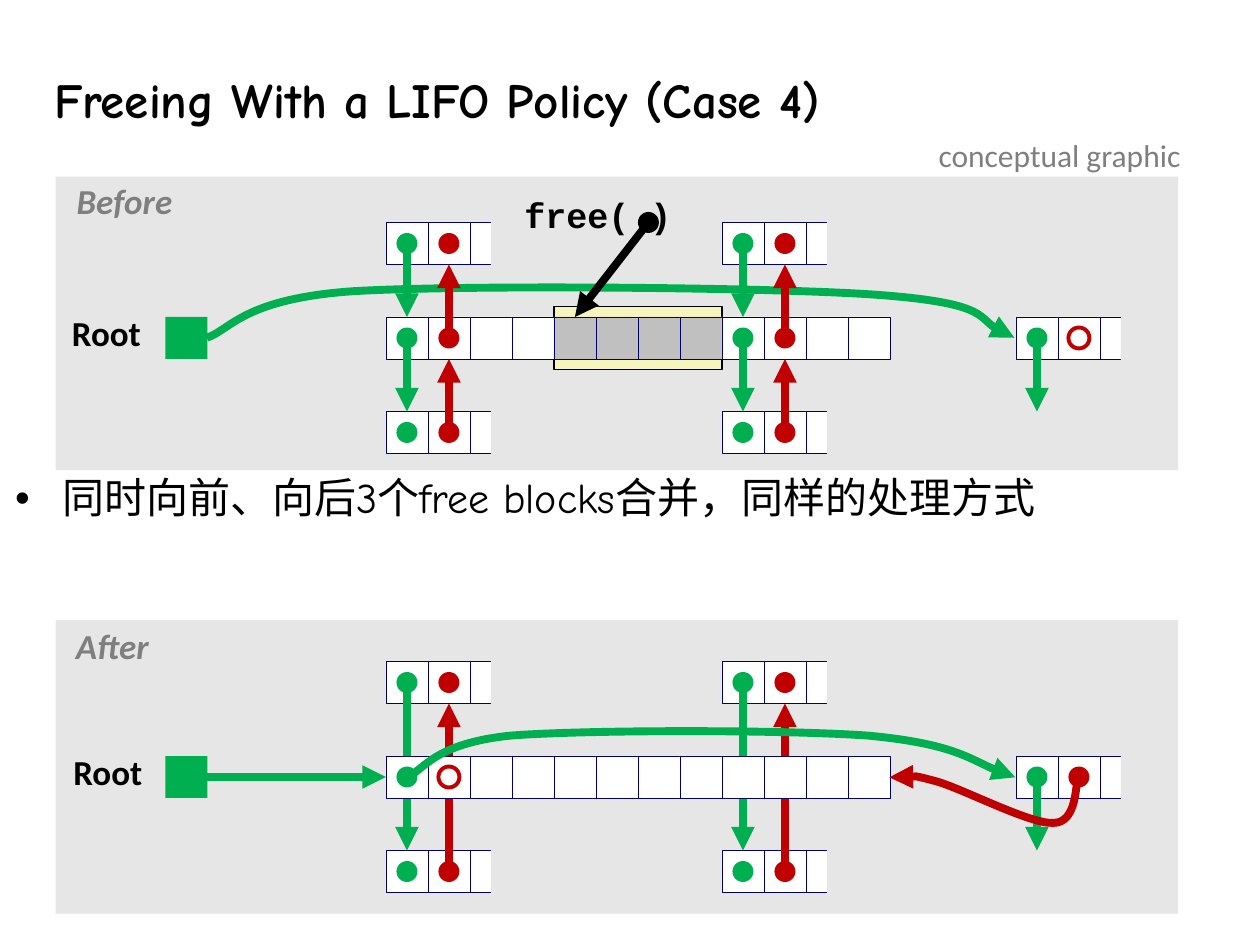
from dataclasses import dataclass
from typing import NamedTuple

from lxml.etree import SubElement
from pptx import Presentation
from pptx.dml.color import RGBColor
from pptx.enum.shapes import MSO_CONNECTOR, MSO_SHAPE
from pptx.enum.text import MSO_ANCHOR, MSO_AUTO_SIZE, PP_ALIGN
from pptx.oxml.ns import qn
from pptx.util import Cm, Pt


@dataclass(frozen=True)
class Theme:
    """Colours, fonts and type sizes of the slide."""
    black: str = "000000"
    muted: str = "7F7F7F"
    white: str = "FFFFFF"
    panel: str = "E6E6E6"
    freed: str = "C0C0C0"
    highlight: str = "F6F5BD"
    edge: str = "000066"
    following: str = "00B050"
    previous: str = "C00000"
    hand_font: str = "Comic Neue"
    label_font: str = "Calibri"
    code_font: str = "Courier New"
    title_size: float = 28
    body_size: float = 24
    label_size: float = 20
    note_size: float = 18
    link_width: float = 4.5


class Spot(NamedTuple):
    """A place in cells, counted from the first cell of the heap row."""
    column: float
    row: float


class Label(NamedTuple):
    """A text with its box in centimetres."""
    text: str
    left: float
    top: float
    width: float


@dataclass(frozen=True)
class Scene:
    """A grey panel and the top of its heap row, in centimetres."""
    panel_top: float
    heap_top: float
    caption: Label
    root: Label


THEME = Theme()
CELL = 2.54 / 3
HEAP_LEFT = 7.78
ABOVE, BELOW = -2.25, 2.25
NEIGHBOURS = (0, 8)
TAIL_BLOCK = 15
BEFORE = Scene(3.56, 6.39, Label("Before", 1.31, 3.58, 2.4), Label("Root", 1.22, 6.25, 1.85))
AFTER = Scene(12.5, 15.24, Label("After", 1.3, 12.55, 1.93), Label("Root", 1.25, 15.09, 1.85))
BEFORE_ROOT_CURVE = [
    (4.17, 6.81), (4.65, 6.65), (4.9, 6.02), (7.14, 5.87), (9.4, 5.74),
    (15.42, 5.79), (17.63, 5.94), (19.86, 6.1), (19.86, 6.63), (20.45, 6.81)]
AFTER_NEXT_CURVE = [
    (8.2, 15.67), (8.56, 15.52), (8.74, 14.99), (10.29, 14.83), (11.84, 14.71),
    (15.8, 14.71), (17.5, 14.83), (19.2, 14.99), (19.86, 15.49), (20.47, 15.67)]
AFTER_PREVIOUS_CURVE = [
    (21.74, 15.67), (21.67, 15.82), (21.72, 16.59), (21.23, 16.59), (20.75, 16.61),
    (19.41, 15.9), (18.87, 15.75), (18.31, 15.6), (18.14, 15.67), (17.93, 15.67)]


def place(scene: Scene, spot: Spot) -> tuple:
    """Turn a spot into slide lengths."""
    return Cm(HEAP_LEFT + spot.column * CELL), Cm(scene.heap_top + spot.row * CELL)


def write_text(frame, text: str, *, font: str, size: float, color: str = THEME.black,
               bold: bool = False, italic: bool = False, align=PP_ALIGN.LEFT,
               spacing: float = 1.0):
    """Write one formatted paragraph and return it."""
    para = frame.paragraphs[0]
    para.alignment, para.line_spacing, para.space_before = align, spacing, Pt(0)
    span = para.add_run()
    span.text = text
    span.font.name, span.font.size = font, Pt(size)
    span.font.bold, span.font.italic = bold, italic
    span.font.color.rgb = RGBColor.from_string(color)
    return para


def add_label(slide, label: Label, inset: float = 0.13, **style) -> None:
    """Add an unwrapped text box that fits its text."""
    box = slide.shapes.add_textbox(Cm(label.left), Cm(label.top), Cm(label.width), Cm(1.02))
    frame = box.text_frame
    frame.word_wrap = False
    frame.auto_size = MSO_AUTO_SIZE.SHAPE_TO_FIT_TEXT
    frame.margin_left = frame.margin_right = Cm(inset)
    frame.margin_top = frame.margin_bottom = Cm(0.13)
    write_text(frame, label.text, **style)


def add_box(slide, kind, left, top, width, height, fill="", line="", weight: float = 0.25):
    """Add a preset shape; an empty colour means none."""
    box = slide.shapes.add_shape(kind, left, top, width, height)
    box.shadow.inherit = False
    if fill:
        box.fill.solid()
        box.fill.fore_color.rgb = RGBColor.from_string(fill)
    else:
        box.fill.background()
    if line:
        box.line.color.rgb = RGBColor.from_string(line)
        box.line.width = Pt(weight)
    else:
        box.line.fill.background()


def add_block(slide, scene: Scene, spot: Spot, columns=1.0, rows=1.0, **style) -> None:
    """Add a rectangle measured in cells."""
    add_box(slide, MSO_SHAPE.RECTANGLE, *place(scene, spot),
            Cm(columns * CELL), Cm(rows * CELL), **style)


def add_cells(slide, scene: Scene, spot: Spot, count: int, fill: str = THEME.white) -> None:
    """Add a run of memory cells."""
    for step in range(count):
        add_block(slide, scene, Spot(spot.column + step, spot.row), fill=fill, line=THEME.edge)


def add_open_block(slide, scene: Scene, spot: Spot) -> None:
    """Add a block whose third cell is cut off."""
    add_cells(slide, scene, spot, 3)
    add_block(slide, scene, Spot(spot.column + 2.5, spot.row - 0.25), rows=1.5, fill=THEME.panel)


def add_dot(slide, scene: Scene, cell: Spot, color: str, hollow: bool = False) -> None:
    """Add a pointer dot or ring in the middle of a cell."""
    corner = place(scene, Spot(cell.column + 0.25, cell.row + 0.25))
    style = {"line": color, "weight": 2.25} if hollow else {"fill": color}
    add_box(slide, MSO_SHAPE.OVAL, *corner, Cm(CELL / 2), Cm(CELL / 2), **style)


def style_link(link, color: str) -> None:
    """Give a line or curve its colour, width and arrowhead."""
    link.line.color.rgb = RGBColor.from_string(color)
    link.line.width = Pt(THEME.link_width)
    SubElement(link.line._get_or_add_ln(), qn("a:tailEnd"), type="triangle")


def add_arrow(slide, scene: Scene, start: Spot, end: Spot, color: str) -> None:
    """Add a straight pointer."""
    arrow = slide.shapes.add_connector(
        MSO_CONNECTOR.STRAIGHT, *place(scene, start), *place(scene, end))
    style_link(arrow, color)
    SubElement(arrow._element.spPr, qn("a:effectLst"))


def add_curve(slide, points: list, color: str) -> None:
    """Add a pointer along cubic curves: a start, then three points for each."""
    lengths = [(Cm(x), Cm(y)) for x, y in points]
    builder = slide.shapes.build_freeform(*lengths[0], scale=1.0)
    builder.add_line_segments(lengths[1:], close=False)
    curve = builder.convert_to_shape()
    segments = list(curve._element.iter(qn("a:lnTo")))
    outline = segments[0].getparent()
    for first in range(0, len(segments), 3):
        bend = SubElement(outline, qn("a:cubicBezTo"))
        for segment in segments[first:first + 3]:
            bend.append(segment[0])
            outline.remove(segment)
    curve.shadow.inherit = False
    curve.fill.background()
    style_link(curve, color)


def add_panel(slide, scene: Scene) -> None:
    """Add the grey panel, its labels and the root square."""
    add_box(slide, MSO_SHAPE.RECTANGLE, Cm(1.12), Cm(scene.panel_top), Cm(22.63), Cm(5.92),
            fill=THEME.panel)
    style = dict(font=THEME.label_font, size=THEME.label_size, bold=True,
                 align=PP_ALIGN.CENTER, spacing=0.9)
    add_label(slide, scene.caption, color=THEME.muted, italic=True, **style)
    add_label(slide, scene.root, **style)
    add_block(slide, scene, Spot(-5.25, 0), fill=THEME.following)


def add_neighbours(slide, scene: Scene, next_spans: list, previous_spans: list) -> None:
    """Add the listed blocks above and below with their pointers."""
    for column in NEIGHBOURS:
        for row in (ABOVE, BELOW):
            add_open_block(slide, scene, Spot(column, row))
            add_dot(slide, scene, Spot(column, row), THEME.following)
            add_dot(slide, scene, Spot(column + 1, row), THEME.previous)
        for offset, color, spans in ((0.5, THEME.following, next_spans),
                                     (1.5, THEME.previous, previous_spans)):
            for start, end in spans:
                add_arrow(slide, scene, Spot(column + offset, start),
                          Spot(column + offset, end), color)


def add_tail_block(slide, scene: Scene, hollow: bool) -> None:
    """Add the block at the far right."""
    add_open_block(slide, scene, Spot(TAIL_BLOCK, 0))
    add_dot(slide, scene, Spot(TAIL_BLOCK, 0), THEME.following)
    add_arrow(slide, scene, Spot(TAIL_BLOCK + 0.5, 0.5), Spot(TAIL_BLOCK + 0.5, BELOW),
              THEME.following)
    add_dot(slide, scene, Spot(TAIL_BLOCK + 1, 0), THEME.previous, hollow)


def draw_before(slide) -> None:
    """Draw the heap before the call to free."""
    add_panel(slide, BEFORE)
    add_block(slide, BEFORE, Spot(4, -0.25), 4, 1.5,
              fill=THEME.highlight, line=THEME.black, weight=0.75)
    add_curve(slide, BEFORE_ROOT_CURVE, THEME.following)
    for column, fill in ((0, THEME.white), (4, THEME.freed), (8, THEME.white)):
        add_cells(slide, BEFORE, Spot(column, 0), 4, fill)
    add_neighbours(slide, BEFORE, [(-1.75, 0), (0.5, BELOW)], [(2.75, 1), (0.5, -1.25)])
    for column in NEIGHBOURS:
        add_dot(slide, BEFORE, Spot(column, 0), THEME.following)
        add_dot(slide, BEFORE, Spot(column + 1, 0), THEME.previous)
    add_tail_block(slide, BEFORE, hollow=True)
    add_label(slide, Label("free( )", 10.44, 3.86, 3.23), font=THEME.code_font,
              size=THEME.label_size, bold=True, align=PP_ALIGN.CENTER, spacing=0.9)
    add_dot(slide, BEFORE, Spot(5.75, -2.75), THEME.black)
    add_arrow(slide, BEFORE, Spot(6.25, ABOVE), Spot(4.5, 0), THEME.black)


def draw_after(slide) -> None:
    """Draw the heap with the merged free block."""
    add_panel(slide, AFTER)
    add_neighbours(slide, AFTER, [(-1.75, BELOW)], [(2.75, -1.25)])
    add_cells(slide, AFTER, Spot(0, 0), 12)
    add_dot(slide, AFTER, Spot(0, 0), THEME.following)
    add_dot(slide, AFTER, Spot(1, 0), THEME.previous, hollow=True)
    add_tail_block(slide, AFTER, hollow=False)
    add_arrow(slide, AFTER, Spot(-4.5, 0.5), Spot(0, 0.5), THEME.following)
    add_curve(slide, AFTER_NEXT_CURVE, THEME.following)
    add_curve(slide, AFTER_PREVIOUS_CURVE, THEME.previous)


def fill_placeholder(box, bounds: tuple, text: str, anchor, **style):
    """Move a placeholder, write its text and return the paragraph."""
    box.left, box.top, box.width, box.height = (Cm(length) for length in bounds)
    box.text_frame.auto_size = MSO_AUTO_SIZE.NONE
    box.text_frame.vertical_anchor = anchor
    return write_text(box.text_frame, text, font=THEME.hand_font, **style)


def main() -> None:
    """Build and save the slide."""
    deck = Presentation()
    deck.slide_width, deck.slide_height = Cm(25.4), Cm(19.05)
    slide = deck.slides.add_slide(deck.slide_layouts[1])
    fill_placeholder(slide.shapes.title, (0.84, 0.99, 24.21, 2.18),
                     "Freeing With a LIFO Policy (Case 4)", MSO_ANCHOR.MIDDLE,
                     size=THEME.title_size, bold=True, spacing=0.87)
    para = fill_placeholder(slide.placeholders[1], (0.05, 9.45, 24.08, 3.15),
                            "同时向前、向后3个free blocks合并，同样的处理方式", MSO_ANCHOR.TOP,
                            size=THEME.body_size, spacing=0.95)
    layout = para._p.get_or_add_pPr()
    layout.set("marL", str(Cm(0.95)))
    layout.set("indent", str(-Cm(0.95)))
    SubElement(layout, qn("a:buChar"), char="•")
    draw_before(slide)
    draw_after(slide)
    add_label(slide, Label("conceptual graphic", 18.67, 2.62, 5.41), inset=0.25,
              font=THEME.label_font, size=THEME.note_size, color=THEME.muted)
    deck.save("out.pptx")


if __name__ == "__main__":
    main()
